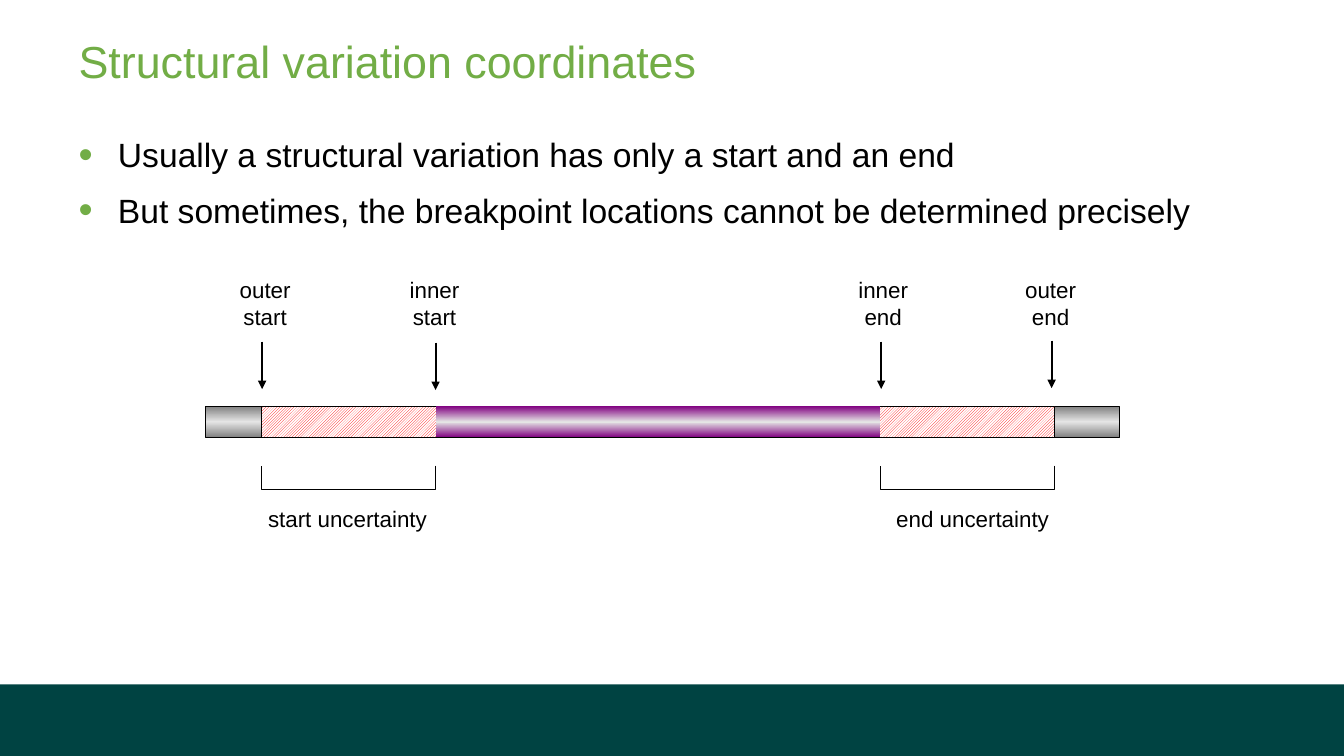
from lxml import etree
from pptx import Presentation
from pptx import util as u
from pptx.dml.color import RGBColor
from pptx.enum import dml, shapes, text
from pptx.oxml import ns

INK = {"green": "72AD46", "teal": "004342", "black": "000000", "white": "FFFFFF",
       "red": "FF0000", "gray": "808080", "light": "E5E5E5", "purple": "800080"}


def rgb(name):
    return RGBColor.from_string(INK[name])


def sub(node, tag, **attrs):
    return etree.SubElement(node, ns.qn(tag), **attrs)


def add_run(para, words, size, color):
    run = para.add_run()
    run.text = words
    run.font.name = "Arial"
    run.font.size = u.Pt(size)
    run.font.color.rgb = rgb(color)


def add_text(slide, box, pad=(0.1, 0.05), wrap=False):
    frame = slide.shapes.add_textbox(*map(u.Inches, box)).text_frame
    frame.word_wrap = wrap
    frame.margin_left = frame.margin_right = u.Inches(pad[0])
    frame.margin_top = frame.margin_bottom = u.Inches(pad[1])
    return frame


def add_shape(slide, kind, box, line=None):
    shape = slide.shapes.add_shape(kind, *map(u.Inches, box))
    shape.shadow.inherit = False
    if line:
        shape.line.color.rgb = rgb(line)
        shape.line.width = u.Pt(0.75)
    else:
        shape.line.fill.background()
    return shape


def add_tube(slide, box, edge, line=None):
    tube = add_shape(slide, shapes.MSO_SHAPE.RECTANGLE, box, line)
    tube.fill.gradient()
    tube.fill.gradient_angle = 90
    stops = tube._element.spPr.find(ns.qn("a:gradFill")).find(ns.qn("a:gsLst"))
    for stop in list(stops):
        stops.remove(stop)
    for pos, color in ((0, edge), (50, "light"), (100, edge)):
        stop = sub(stops, "a:gs", pos=str(pos * 1000))
        sub(stop, "a:srgbClr", val=INK[color])


def add_arrow(slide, x, top, size):
    arrow = slide.shapes.add_connector(
        shapes.MSO_CONNECTOR.STRAIGHT, *map(u.Inches, (x, top, x, top + size)))
    arrow.line.color.rgb = rgb("black")
    arrow.line.width = u.Pt(1.42)
    sub(arrow.line._get_or_add_ln(), "a:tailEnd", type="triangle")
    sub(arrow._element.spPr, "a:effectLst")


def add_title(slide, box):
    frame = add_text(slide, box, (0, 0), True)
    add_run(frame.paragraphs[0], "Structural variation coordinates", 32, "green")


def add_points(slide, box, points):
    frame = add_text(slide, box, (0, 0), True)
    for i, words in enumerate(points):
        para = frame.add_paragraph() if i else frame.paragraphs[0]
        para.space_after = u.Pt(5.8)
        if i:
            para.space_before = u.Pt(5)
        props = para._p.get_or_add_pPr()
        props.set("marL", str(u.Inches(0.39)))
        props.set("indent", str(-u.Inches(0.39)))
        sub(sub(props, "a:buClr"), "a:srgbClr", val=INK["green"])
        sub(props, "a:buSzPct", val="120000")
        sub(props, "a:buFont", typeface="Arial")
        sub(props, "a:buChar", char="•")
        add_run(para, words, 24, "black")


def add_mark(slide, x, mid, top, lines, tip):
    frame = add_text(slide, (mid - 0.4, top, 0.8, 0.63))
    for i, words in enumerate(lines):
        para = frame.add_paragraph() if i else frame.paragraphs[0]
        para.alignment = text.PP_ALIGN.CENTER
        add_run(para, words, 16, "black")
    add_arrow(slide, x, tip, 0.47)


def add_range(slide, x, top, words, left, width):
    wide, high = 1.73, 0.24
    side = (x + (wide - high) / 2, top - (wide - high) / 2, high, wide)
    brace = add_shape(slide, shapes.MSO_SHAPE.LEFT_BRACKET, side, "black")
    brace.adjustments[0] = 0
    brace.rotation = 270
    brace.fill.background()
    frame = add_text(slide, (left, top + 0.34, width, 0.36))
    add_run(frame.paragraphs[0], words, 16, "black")


def add_hatch(slide, box):
    hatch = add_shape(slide, shapes.MSO_SHAPE.ROUNDED_RECTANGLE, box, "black")
    hatch.adjustments[0] = 0
    hatch.fill.patterned()
    hatch.fill.pattern = dml.MSO_PATTERN.DARK_UPWARD_DIAGONAL
    hatch.fill.fore_color.rgb = rgb("red")
    hatch.fill.back_color.rgb = rgb("white")


def add_diagram(slide, box):
    left, top, width, _ = box
    bar, high = top + 1.34, 0.31
    add_tube(slide, (left, bar, width, high), "gray", "black")
    for x in (0.55, 6.61):
        add_hatch(slide, (left + x, bar, 1.81, high))
    for x, mid, tip, lines in (
            (0.56, 0.59, 0.70, ("outer", "start")),
            (2.28, 2.27, 0.71, ("inner", "start")),
            (6.70, 6.72, 0.70, ("inner", "end")),
            (8.39, 8.38, 0.69, ("outer", "end"))):
        add_mark(slide, left + x, left + mid, top, lines, top + tip)
    for x, words, start, size in (
            (0.55, "start uncertainty", 0.52, 1.78),
            (6.69, "end uncertainty", 6.75, 1.72)):
        add_range(slide, left + x, top + 1.93, words, left + start, size)
    add_tube(slide, (left + 2.28, bar, 4.41, high), "purple")


def add_footer(slide, box):
    band = add_shape(slide, shapes.MSO_SHAPE.RECTANGLE, box)
    band.fill.solid()
    band.fill.fore_color.rgb = rgb("teal")


def main():
    deck = Presentation()
    deck.slide_width, deck.slide_height = u.Inches(13.33), u.Inches(7.5)
    slide = deck.slides.add_slide(deck.slide_layouts[6])
    add_footer(slide, (0, 6.79, 13.33, 0.71))
    add_title(slide, (0.78, 0.33, 11.89, 0.83))
    add_points(slide, (0.78, 1.33, 11.89, 4.76), (
        "Usually a structural variation has only a start and an end",
        "But sometimes, the breakpoint locations cannot be determined precisely"))
    add_diagram(slide, (2.04, 2.69, 9.06, 2.63))
    deck.save("out.pptx")


if __name__ == "__main__":
    main()
